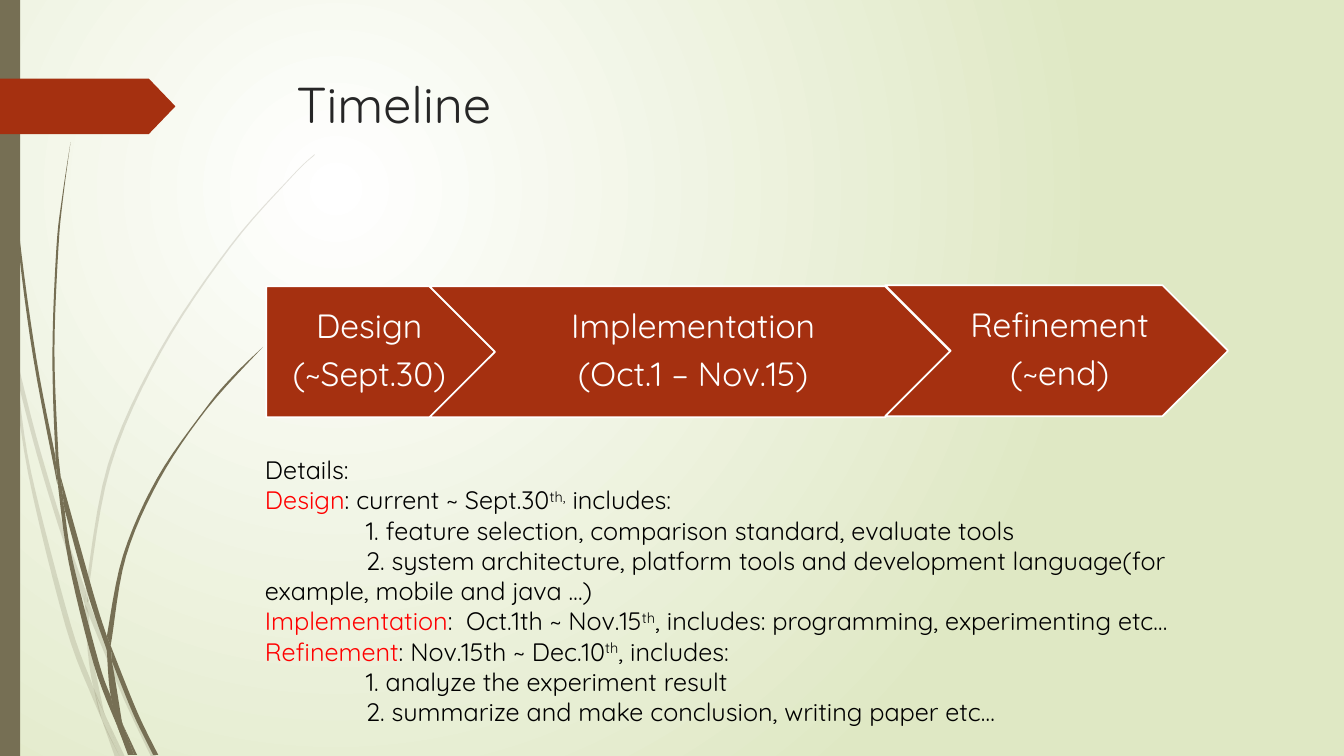
from dataclasses import dataclass
from typing import NamedTuple

from lxml.etree import SubElement
from pptx import Presentation
from pptx.dml.color import RGBColor as Rgb
from pptx.enum.shapes import MSO_SHAPE as Shape
from pptx.enum.text import MSO_ANCHOR as Anchor, MSO_AUTO_SIZE as Fit, PP_ALIGN as Align
from pptx.oxml.ns import qn
from pptx.util import Inches, Pt

FONT = "Quicksand"
HEX = {"olive": "766F54", "rust": "A53010", "white": "FFFFFF", "lime": "DFE8C4",
       "ink": "262626", "black": "000000", "red": "FF0000"}
Point = tuple[float, float]
Edge = list[Point]


class Box(NamedTuple):
    left: float
    top: float
    width: float
    height: float


class Run(NamedTuple):
    text: str
    color: str = "black"
    sup: bool = False


class Blade(NamedTuple):
    """A piece of grass: one edge going out, the other coming back."""
    out: Edge
    back: Edge


@dataclass
class Phase:
    name: str
    dates: str
    box: Box
    kind: Shape = Shape.CHEVRON


PALE = [
    Blade([(0, 2.82), (0.09, 3.22), (0.11, 3.5)], [(0.1, 3.44), (0, 2.99)]),
    Blade([(0.14, 3.45), (0.36, 4.33), (0.62, 5.2), (0.85, 5.86)],
          [(0.84, 5.99), (0.58, 5.22), (0.36, 4.49), (0.17, 3.76)]),
    Blade([(0.88, 5.96), (0.92, 6.07), (1.27, 6.92), (1.55, 7.51)],
          [(1.5, 7.51), (1.23, 6.94), (0.88, 6.1)]),
    Blade([(1.05, 7.11), (1.24, 7.51)], [(1.19, 7.51), (1.05, 7.11)]),
    Blade([(0.11, 3.5), (0.17, 3.76), (0.31, 4.69), (0.7, 6.19), (0.93, 6.83), (1.01, 7.14)],
          [(0.92, 6.93), (0.65, 6.21), (0.28, 4.7), (0.11, 3.5)]),
    Blade([(0.84, 5.99), (0.87, 6.46), (0.93, 6.83), (1.05, 7.11)],
          [(1.03, 7.06), (0.91, 6.46), (0.88, 6.1), (0.84, 5.99)]),
    Blade([(3.12, 1.53), (2.89, 1.75), (2.28, 2.44), (1.58, 3.48), (1.07, 4.61), (0.85, 5.84)],
          [(0.88, 5.96), (0.88, 5.84), (1.1, 4.62), (1.6, 3.49), (2.29, 2.45), (2.9, 1.75),
           (3.12, 1.54)]),
    Blade([(1.01, 7.14), (1.14, 7.51)], [(1.19, 7.51), (1.01, 7.14)]),
    Blade([(0.85, 5.86), (0.84, 5.99), (0.88, 6.1)], [(0.88, 5.96), (0.85, 5.86)]),
    Blade([(0.93, 6.83), (1.01, 7.14), (1.19, 7.51)], [(1.05, 7.11), (0.93, 6.83)]),
]
DARK = [
    Blade([(0.03, 0), (0.04, 0.48), (0.07, 1.1), (0.17, 2.33), (0.33, 3.55), (0.57, 4.81)],
          [(0.55, 4.53), (0.36, 3.55), (0.19, 2.32), (0.08, 1.09), (0.05, 0.48), (0.04, 0)]),
    Blade([(0.6, 4.72), (0.93, 5.9), (1.06, 6.31)], [(1.06, 6.45), (0.88, 5.92), (0.64, 5.05)]),
    Blade([(1.1, 6.41), (1.36, 7.06), (1.57, 7.49)],
          [(1.52, 7.49), (1.32, 7.08), (1.11, 6.56)]),
    Blade([(0.57, 4.77), (0.68, 5.57), (0.93, 6.59), (1.17, 7.22)],
          [(1.1, 6.91), (0.98, 6.57), (0.72, 5.56), (0.64, 5.05)]),
    Blade([(0.7, 1.41), (0.62, 1.93), (0.56, 2.45), (0.52, 3.49), (0.55, 4.49), (0.6, 4.72)],
          [(0.58, 4.53), (0.54, 3.49), (0.58, 2.45), (0.63, 1.93), (0.7, 1.41)]),
    Blade([(1.22, 7.19), (1.36, 7.49)], [(1.33, 7.49), (1.22, 7.19)]),
    Blade([(0.55, 4.49), (0.57, 4.77), (0.64, 5.05)], [(0.6, 4.72), (0.55, 4.49)]),
    Blade([(2.61, 3.44), (2.31, 3.73), (2.04, 4.05), (1.56, 4.74), (1.22, 5.51), (1.06, 6.31)],
          [(1.1, 6.41), (1.11, 6.33), (1.25, 5.52), (1.58, 4.76), (2.05, 4.06), (2.61, 3.44)]),
    Blade([(1.17, 7.22), (1.27, 7.49)], [(1.31, 7.49), (1.17, 7.22)]),
    Blade([(1.06, 6.45), (1.1, 6.91), (1.22, 7.19)], [(1.21, 7.16), (1.11, 6.56), (1.06, 6.45)]),
    Blade([(1.06, 6.31), (1.06, 6.45), (1.11, 6.56)], [(1.1, 6.41), (1.06, 6.31)]),
    Blade([(1.1, 6.91), (1.17, 7.22), (1.3, 7.49)], [(1.33, 7.49), (1.22, 7.19), (1.1, 6.91)]),
]
PHASES = [
    Phase("Design", "(~Sept.30)", Box(2.64, 2.84, 2.27, 1.3), Shape.PENTAGON),
    Phase("Implementation", "(Oct.1 – Nov.15)", Box(4.26, 2.84, 5.17, 1.3)),
    Phase("Refinement", "(~end)", Box(8.78, 2.83, 3.4, 1.3)),
]
DETAILS = [
    [Run("Details:")],
    [Run("Design", "red"), Run(": current ~ Sept.30"), Run("th,", sup=True), Run(" includes:")],
    [Run("1. feature selection, comparison standard, evaluate tools")],
    [Run("2. system architecture, platform tools and development language"
         "(for example, mobile and java …)")],
    [Run("Implementation", "red"), Run(":  Oct.1th ~ Nov.15"), Run("th", sup=True),
     Run(", includes: programming, experimenting etc…")],
    [Run("Refinement", "red"), Run(": Nov.15th ~ Dec.10"), Run("th", sup=True),
     Run(", includes:")],
    [Run("1. analyze the experiment result")],
    [Run("2. summarize and make conclusion, writing paper etc…")],
]


def tint(name: str) -> Rgb:
    return Rgb.from_string(HEX[name])


def place(box: Box) -> list[int]:
    return [Inches(side) for side in box]


def paint(shape, color: str, line: str | None = None) -> None:
    shape.shadow.inherit = False
    shape.fill.solid()
    shape.fill.fore_color.rgb = tint(color)
    if line:
        shape.line.color.rgb = tint(line)
        shape.line.width = Pt(1.25)
    else:
        shape.line.fill.background()


def add_text(slide, box: Box, paras: list[list[Run]], *, size: float, align=Align.LEFT,
             anchor=Anchor.TOP, pads=(0.1, 0.05, 0.1, 0.05), lines: float = 1,
             after: float = 0, fit=Fit.NONE) -> None:
    """Write paragraphs; numbered ones get a first-line indent."""
    frame = slide.shapes.add_textbox(*place(box)).text_frame
    frame.word_wrap, frame.auto_size, frame.vertical_anchor = True, fit, anchor
    (frame.margin_left, frame.margin_top,
     frame.margin_right, frame.margin_bottom) = place(pads)
    for i, runs in enumerate(paras):
        para = frame.add_paragraph() if i else frame.paragraphs[0]
        para.alignment, para.line_spacing, para.space_after = align, lines, Pt(after)
        if runs[0].text[0].isdigit():
            para._p.get_or_add_pPr().set("indent", str(Inches(1)))
        for item in runs:
            run = para.add_run()
            run.text = item.text
            run.font.name, run.font.size = FONT, Pt(size)
            run.font.color.rgb = tint(item.color)
            if item.sup:
                run.font._element.set("baseline", "30000")


def curve(points: Edge, steps: int = 6) -> Edge:
    """Sample a Catmull-Rom spline through the points."""
    ends = [points[0], *points, points[-1]]
    return [tuple(b + t * (c - a + t * (2 * a - 5 * b + 4 * c - d
                                        + t * (3 * b - a - 3 * c + d))) / 2
                  for a, b, c, d in zip(*quad))
            for quad in zip(ends, ends[1:], ends[2:], ends[3:])
            for t in (k / steps for k in range(steps))] + [points[-1]]


def add_blade(slide, blade: Blade, alpha: int) -> None:
    first, *rest = [(Inches(x), Inches(y)) for x, y in curve(blade.out) + curve(blade.back)]
    pen = slide.shapes.build_freeform(*first)
    pen.add_line_segments(rest, close=True)
    shape = pen.convert_to_shape()
    paint(shape, "olive")
    if alpha < 100:
        color = shape._element.spPr.find(qn("a:solidFill"))[0]
        SubElement(color, qn("a:alpha")).set("val", str(alpha * 1000))


def add_glow(slide) -> None:
    """Fill the background with a round gradient, centred up and left."""
    fill = slide.background.fill
    fill.gradient()
    for stop, name, at in zip(fill.gradient_stops, ("white", "lime"), (0, 1)):
        stop.color.rgb, stop.position = tint(name), at
    line = next(slide.element.iter(qn("a:lin")))
    grad = line.getparent()
    grad.remove(line)
    ring = SubElement(grad, qn("a:path"))
    ring.set("path", "circle")
    rect = SubElement(ring, qn("a:fillToRect"))
    for side, share in zip("ltrb", (50, 50, 100, 100)):
        rect.set(side, str(share * 1000))


def add_phase(slide, phase: Phase) -> None:
    box = phase.box
    paint(slide.shapes.add_shape(phase.kind, *place(box)), "rust", "white")
    tip = box.height / 2
    if phase.kind == Shape.PENTAGON:
        area, pad = box._replace(width=box.width - tip / 2), 0.14
    else:
        area, pad = box._replace(left=box.left + tip, width=box.width - 2 * tip), 0.1
    add_text(slide, area, [[Run(phase.name, "white")], [Run(phase.dates, "white")]],
             size=24, align=Align.CENTER, anchor=Anchor.MIDDLE,
             pads=(pad, 0.07, 0.04, 0.07), lines=0.9, after=8.4)


def main() -> None:
    deck = Presentation()
    deck.slide_width, deck.slide_height = Inches(13.33), Inches(7.5)
    slide = deck.slides.add_slide(deck.slide_layouts[6])
    add_glow(slide)
    for blades, alpha in ((PALE, 20), (DARK, 100)):
        for blade in blades:
            add_blade(slide, blade, alpha)
    paint(slide.shapes.add_shape(Shape.RECTANGLE, *place(Box(0, 0, 0.2, 7.5))), "olive")
    flag = slide.shapes.add_shape(Shape.PENTAGON, *place(Box(0, 0.78, 1.74, 0.55)))
    flag.adjustments[0] = 0.48
    paint(flag, "rust")
    add_text(slide, Box(2.84, 0.68, 9.75, 1.4), [[Run("Timeline", "ink")]], size=36)
    for phase in PHASES:
        add_phase(slide, phase)
    add_text(slide, Box(2.53, 4.46, 10.16, 2.83), DETAILS, size=18, fit=Fit.SHAPE_TO_FIT_TEXT)
    deck.save("out.pptx")


if __name__ == "__main__":
    main()
